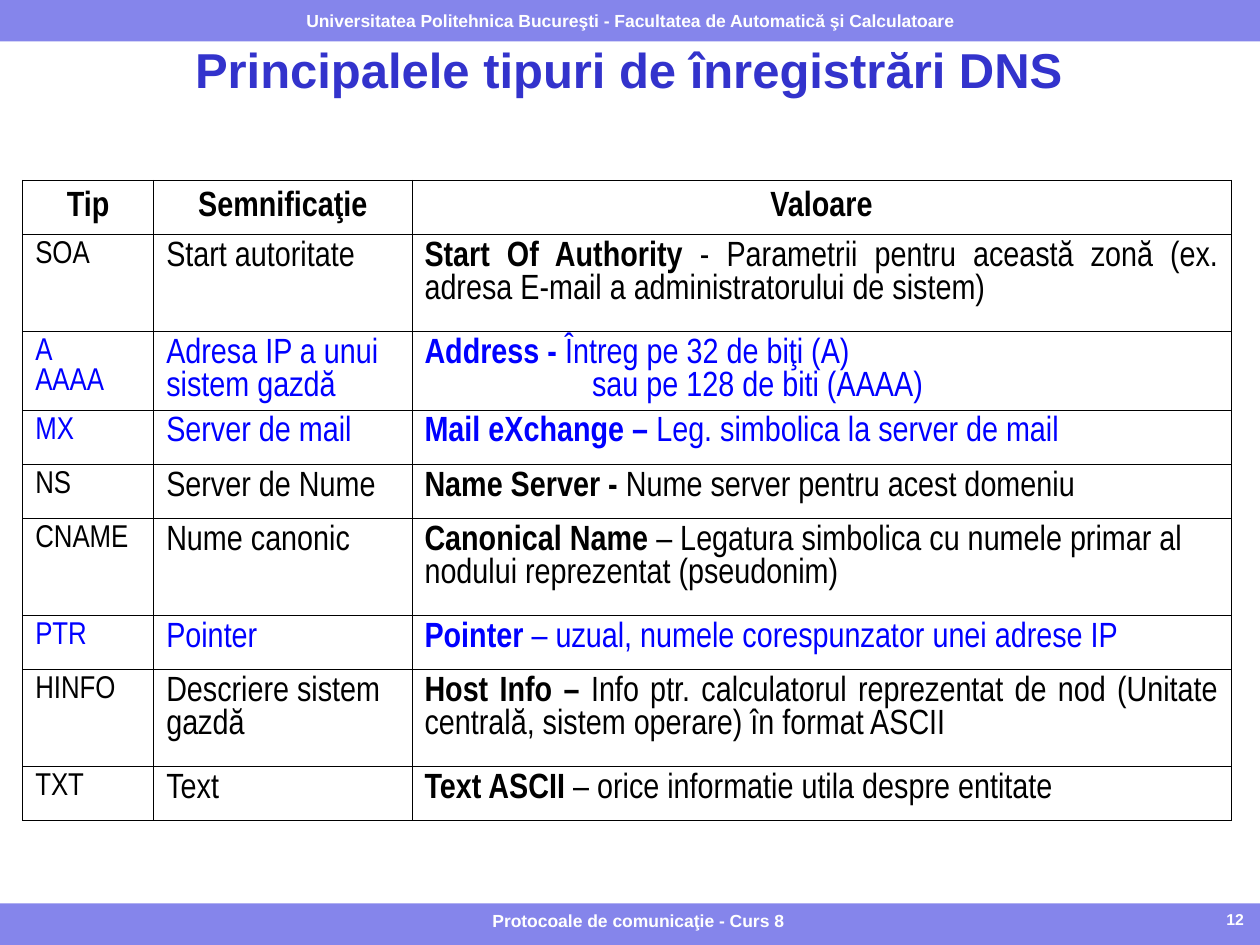
"""Build the slide that lists the main DNS record types in a table."""
from dataclasses import dataclass

from lxml import etree
from pptx import Presentation
from pptx.dml.color import RGBColor
from pptx.enum import shapes, text
from pptx.oxml import ns
from pptx.util import Inches, Pt


@dataclass(frozen=True)
class Theme:
    band: RGBColor = RGBColor(0x85, 0x85, 0xEB)
    title: RGBColor = RGBColor(0x33, 0x33, 0xCC)
    white: RGBColor = RGBColor(0xFF, 0xFF, 0xFF)
    black: RGBColor = RGBColor(0, 0, 0)
    accent: RGBColor = RGBColor(0, 0, 0xFF)
    font: str = "Arial"
    table_font: str = "Arial Narrow"
    title_size: int = 28
    body_size: int = 20
    code_size: int = 18
    band_size: int = 10
    number_size: int = 9
    border: float = 0.45


@dataclass(frozen=True)
class Record:
    codes: tuple[str, ...]
    meaning: str
    term: str
    detail: str
    second_line: str = ""
    highlighted: bool = False
    justified: bool = True

    @property
    def row_height(self) -> float:
        return 0.77 if len(self.term + self.detail + self.second_line) > 60 else 0.43


@dataclass(frozen=True)
class Label:
    words: str
    left: float
    width: float
    size: int
    align: text.PP_ALIGN


THEME = Theme()
ALIGN = text.PP_ALIGN
COLUMNS = {"Tip": 1.04, "Semnificaţie": 2.05, "Valoare": 6.5}
HEADER_HEIGHT = 0.43
SECOND_LINE_INDENT = 1.33
RECORDS = (
    Record(("SOA",), "Start autoritate", "Start Of Authority",
           " - Parametrii pentru această zonă (ex. adresa E-mail a administratorului de sistem)"),
    Record(("A", "AAAA"), "Adresa IP a unui sistem gazdă", "Address -",
           " Întreg pe 32 de biţi (A)", "sau pe 128 de biti (AAAA)", highlighted=True),
    Record(("MX",), "Server de mail", "Mail eXchange –",
           " Leg. simbolica la server de mail", highlighted=True),
    Record(("NS",), "Server de Nume", "Name Server -", " Nume server pentru acest domeniu"),
    Record(("CNAME",), "Nume canonic", "Canonical Name ",
           "– Legatura simbolica cu numele primar al nodului reprezentat (pseudonim)",
           justified=False),
    Record(("PTR",), "Pointer", "Pointer ",
           "– uzual, numele corespunzator unei adrese IP", highlighted=True),
    Record(("HINFO",), "Descriere sistem gazdă", "Host Info –",
           " Info ptr. calculatorul reprezentat de nod (Unitate centrală, sistem operare)"
           " în format ASCII"),
    Record(("TXT",), "Text", "Text ASCII", " – orice informatie utila despre entitate"),
)
FOOTERS = (
    Label("12", 7.67, 2.3, THEME.number_size, ALIGN.RIGHT),
    Label("Protocoale de comunicaţie - Curs 8", 2.58, 4.97, THEME.band_size, ALIGN.CENTER),
)


def add_run(paragraph, words: str, size: int, color: RGBColor,
            bold: bool = False, font: str = THEME.font) -> None:
    """Append one formatted run to a paragraph."""
    run = paragraph.add_run()
    run.text = words
    run.font.name = font
    run.font.size = Pt(size)
    run.font.bold = bold
    run.font.color.rgb = color


def add_band(slide, top: float):
    """Draw a full-width coloured band."""
    band = slide.shapes.add_shape(shapes.MSO_SHAPE.RECTANGLE, 0, Inches(top),
                                  Inches(10), Inches(0.33))
    band.shadow.inherit = False
    band.fill.solid()
    band.fill.fore_color.rgb = THEME.band
    band.line.fill.background()
    return band


def add_footer(slide, label: Label) -> None:
    """Place a white label on the bottom band."""
    box = slide.shapes.add_textbox(Inches(label.left), Inches(7.17),
                                   Inches(label.width), Inches(0.3))
    box.text_frame.word_wrap = True
    paragraph = box.text_frame.paragraphs[0]
    paragraph.alignment = label.align
    add_run(paragraph, label.words, label.size, THEME.white, bold=True)


def format_title(slide) -> None:
    """Move and fill the title placeholder."""
    title = slide.shapes.title
    title.left, title.top = Inches(0.42), Inches(0.28)
    title.width, title.height = Inches(9.14), Inches(0.6)
    frame = title.text_frame
    frame.auto_size = text.MSO_AUTO_SIZE.NONE
    frame.vertical_anchor = text.MSO_ANCHOR.MIDDLE
    paragraph = frame.paragraphs[0]
    paragraph.alignment = ALIGN.CENTER
    paragraph.line_spacing = 0.9
    add_run(paragraph, "Principalele tipuri de înregistrări DNS",
            THEME.title_size, THEME.title, bold=True)


def format_cell(cell) -> None:
    """Give a cell thin black borders, no fill and even margins."""
    properties = cell._tc.get_or_add_tcPr()
    for side in ("lnL", "lnR", "lnT", "lnB"):
        line = etree.SubElement(properties, ns.qn(f"a:{side}"), w=str(Pt(THEME.border)))
        fill = etree.SubElement(line, ns.qn("a:solidFill"))
        etree.SubElement(fill, ns.qn("a:srgbClr"), val=str(THEME.black))
    cell.fill.background()
    cell.margin_left = cell.margin_right = Inches(0.1)
    cell.margin_top = cell.margin_bottom = Inches(0.05)


def fill_record(cells, record: Record) -> None:
    """Write one DNS record into the three cells of its row."""
    color = THEME.accent if record.highlighted else THEME.black
    code_cell, meaning_cell, value_cell = cells
    for index, code in enumerate(record.codes):
        frame = code_cell.text_frame
        paragraph = frame.add_paragraph() if index else frame.paragraphs[0]
        paragraph.alignment = ALIGN.JUSTIFY
        add_run(paragraph, code, THEME.code_size, color, font=THEME.table_font)
    meaning = meaning_cell.text_frame.paragraphs[0]
    meaning.alignment = ALIGN.LEFT
    add_run(meaning, record.meaning, THEME.body_size, color, font=THEME.table_font)
    value = value_cell.text_frame.paragraphs[0]
    value.alignment = ALIGN.JUSTIFY if record.justified else ALIGN.LEFT
    add_run(value, record.term, THEME.body_size, color, True, THEME.table_font)
    add_run(value, record.detail, THEME.body_size, color, font=THEME.table_font)
    if record.second_line:
        second = value_cell.text_frame.add_paragraph()
        second.alignment = ALIGN.JUSTIFY
        second._p.get_or_add_pPr().set("marL", str(Inches(SECOND_LINE_INDENT)))
        add_run(second, record.second_line, THEME.body_size, color, font=THEME.table_font)


def add_record_table(slide) -> None:
    """Draw the table of record types."""
    heights = [HEADER_HEIGHT, *(record.row_height for record in RECORDS)]
    table = slide.shapes.add_table(
        len(heights), len(COLUMNS), Inches(0.18), Inches(1.43),
        Inches(sum(COLUMNS.values())), Inches(sum(heights))).table
    table.first_row = table.horz_banding = False
    for row, height in zip(table.rows, heights):
        row.height = Inches(height)
    for cell in table.iter_cells():
        format_cell(cell)
    for index, (heading, width) in enumerate(COLUMNS.items()):
        table.columns[index].width = Inches(width)
        cell = table.cell(0, index)
        cell.vertical_anchor = text.MSO_ANCHOR.MIDDLE
        paragraph = cell.text_frame.paragraphs[0]
        paragraph.alignment = ALIGN.CENTER
        add_run(paragraph, heading, THEME.body_size, THEME.black, True, THEME.table_font)
    for index, record in enumerate(RECORDS, start=1):
        fill_record(table.rows[index].cells, record)


def main() -> None:
    """Build and save the presentation."""
    presentation = Presentation()
    presentation.slide_width, presentation.slide_height = Inches(10), Inches(7.5)
    slide = presentation.slides.add_slide(presentation.slide_layouts[5])
    add_band(slide, 7.17)
    header = add_band(slide, 0).text_frame
    header.word_wrap = False
    header.vertical_anchor = text.MSO_ANCHOR.MIDDLE
    header.paragraphs[0].alignment = ALIGN.CENTER
    add_run(header.paragraphs[0],
            "Universitatea Politehnica Bucureşti - Facultatea de Automatică şi Calculatoare",
            THEME.band_size, THEME.white, bold=True)
    format_title(slide)
    add_record_table(slide)
    for label in FOOTERS:
        add_footer(slide, label)
    presentation.save("out.pptx")


if __name__ == "__main__":
    main()
